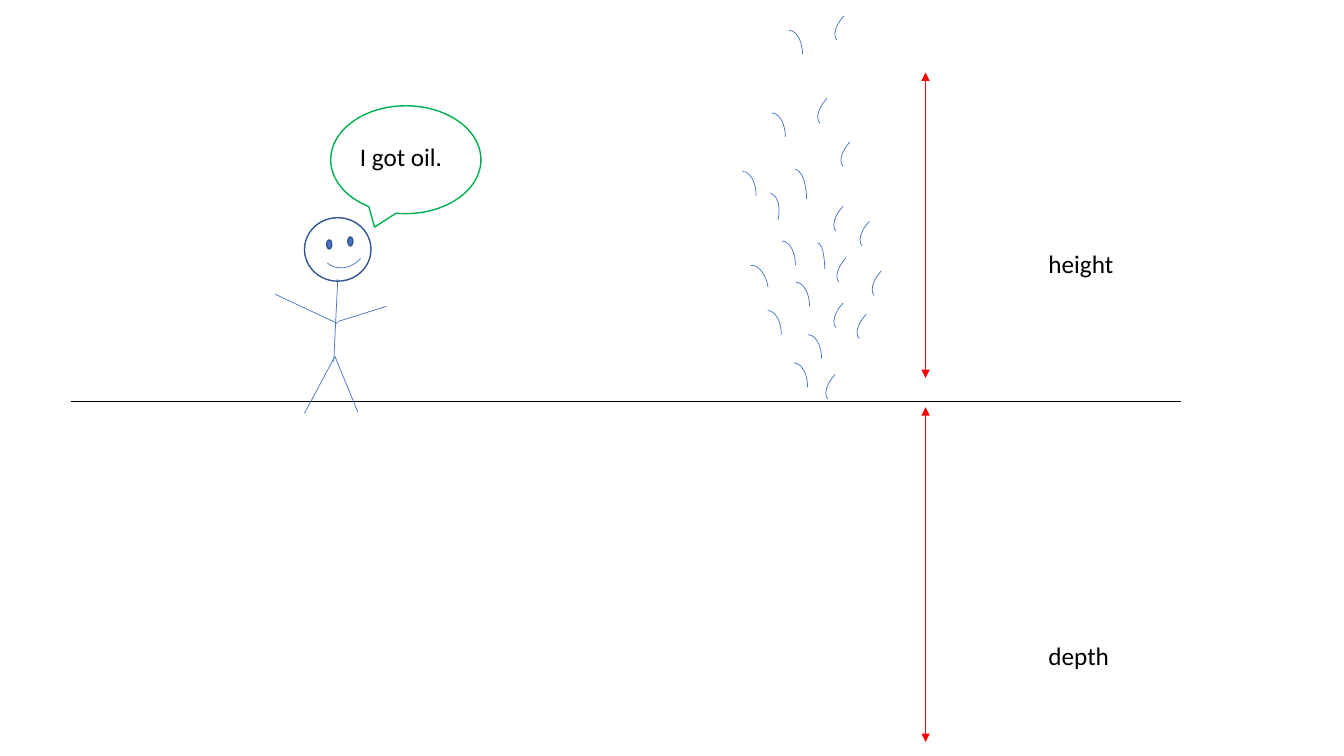
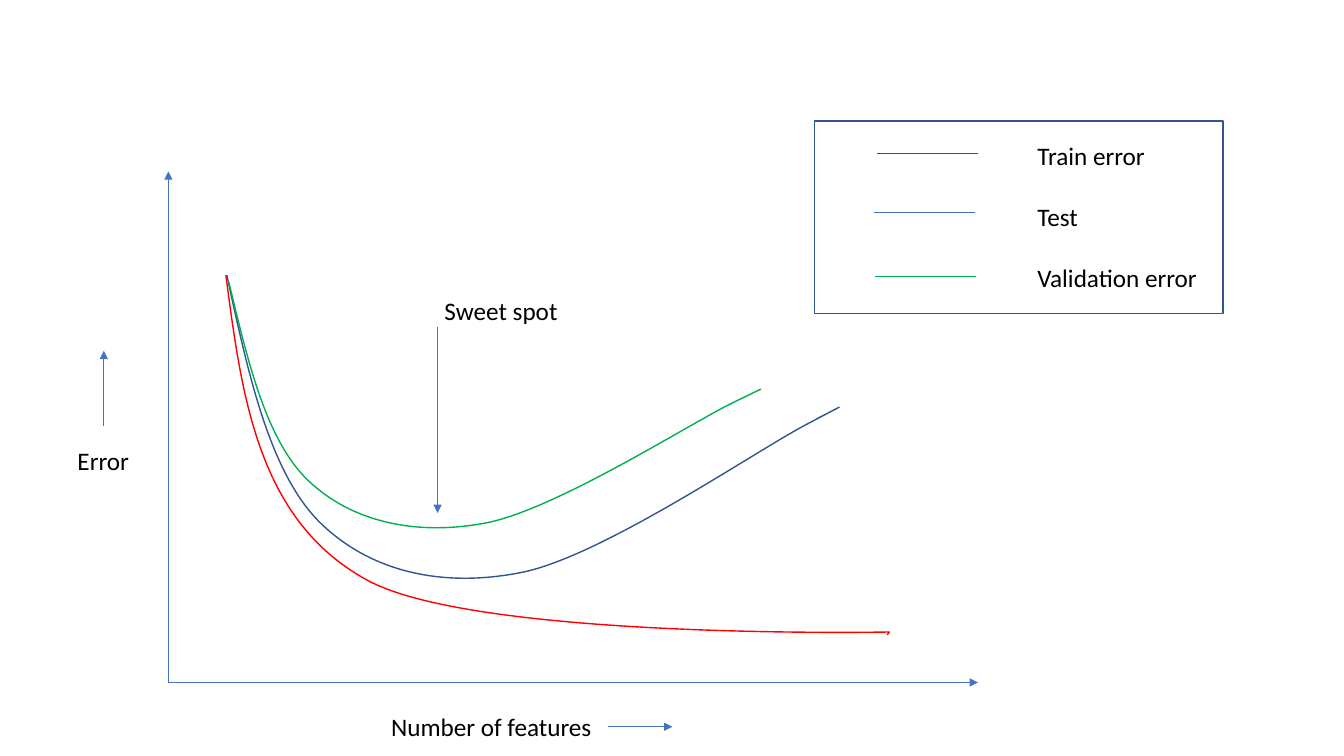
from lxml import etree
from pptx import Presentation
from pptx.dml.color import RGBColor
from pptx.enum.shapes import MSO_CONNECTOR, MSO_SHAPE
from pptx.enum.text import MSO_AUTO_SIZE
from pptx.oxml.ns import qn
from pptx.util import Inches, Pt

ARC = MSO_SHAPE.ARC
OVAL = MSO_SHAPE.OVAL
RECTANGLE = MSO_SHAPE.RECTANGLE
CALLOUT = MSO_SHAPE.OVAL_CALLOUT
STRAIGHT = MSO_CONNECTOR.STRAIGHT
FIT_SHAPE = MSO_AUTO_SIZE.SHAPE_TO_FIT_TEXT

BLACK = RGBColor(0x00, 0x00, 0x00)
WHITE = RGBColor(0xFF, 0xFF, 0xFF)
BLUE = RGBColor(0x44, 0x72, 0xC4)
NAVY = RGBColor(0x32, 0x54, 0x91)
RED = RGBColor(0xFF, 0x00, 0x00)
GREEN = RGBColor(0x00, 0xB0, 0x50)

THIN = Pt(0.5)
MEDIUM = Pt(1)
TEXT_FORMAT = {"name": "Calibri", "size": Pt(18)}
LABEL_HEIGHT = 0.4

LEFT_DROP = (0.27, 0.48)
RIGHT_DROP = (0.23, 0.45)
RIGHT_TURN = 223.2
LEFT_DROPS = [
    (7.69, 0.3), (7.52, 1.12), (7.23, 1.7), (7.62, 2.39),
    (7.76, 2.8), (7.48, 3.08), (7.88, 3.32), (7.74, 3.6),
]
ODD_DROPS = [
    (7.45, 1.91, 0.27, 0.48, 13.2), (7.77, 1.68, 0.23, 0.59, 0),
    (8.04, 2.41, 0.14, 0.52, 0), (7.35, 2.63, 0.27, 0.48, 350.4),
]
RIGHT_DROPS = [
    (8.34, 0.01), (8.17, 0.83), (8.4, 1.26), (8.33, 1.9), (8.59, 2.05),
    (8.36, 2.41), (8.71, 2.54), (8.33, 2.86), (8.56, 2.97), (8.25, 3.57),
]
LIMBS = [
    ((3.35, 2.77), (3.31, 3.59)),
    ((3.32, 3.54), (3.02, 4.1)),
    ((3.32, 3.53), (3.55, 4.09)),
    ((3.35, 3.21), (2.73, 2.92)),
    ((3.35, 3.19), (3.83, 3.04)),
]
TRAIN_CURVE = [
    (2.24, 2.73), (2.4, 3.95), (2.56, 5.17), (3.65, 5.76),
    (4.75, 6.35), (8.82, 6.27), (8.82, 6.27), (8.8, 6.3),
]
TEST_CURVE = [
    (2.25, 2.73), (2.46, 3.7), (2.67, 4.67), (3.16, 5.17),
    (3.65, 5.66), (4.36, 5.84), (5.17, 5.68),
    (5.98, 5.52), (7.53, 4.45), (8.02, 4.2),
    (8.51, 3.94), (8.31, 4.05), (8.11, 4.15),
]
VALIDATION_CURVE = [
    (2.27, 2.8), (2.46, 3.59), (2.64, 4.37), (3.06, 4.77),
    (3.48, 5.17), (4.11, 5.32), (4.81, 5.19),
    (5.51, 5.06), (6.86, 4.19), (7.28, 3.99),
    (7.71, 3.78), (7.53, 3.87), (7.36, 3.95),
]


class Sketch:
    """Hold the deck, its style and the slide being drawn."""

    def __init__(self):
        self.deck = Presentation()
        self.deck.slide_width = Inches(13.33)
        self.deck.slide_height = Inches(7.5)
        self.shapes = None

    def new_page(self):
        page = self.deck.slides.add_slide(self.deck.slide_layouts[6])
        self.shapes = page.shapes

    def outline(self, shape, color, width):
        shape.line.color.rgb = color
        shape.line.width = width

    def shape(self, kind, bounds, line, width=MEDIUM, fill=None, rotation=0):
        shape = self.shapes.add_shape(kind, *map(Inches, bounds))
        shape.shadow.inherit = False
        shape.rotation = rotation
        if fill is None:
            shape.fill.background()
        else:
            shape.fill.solid()
            shape.fill.fore_color.rgb = fill
        self.outline(shape, line, width)

    def arc(self, bounds, rotation=0):
        self.shape(ARC, bounds, BLUE, THIN, rotation=rotation)

    def line(self, start, end, color=BLUE, arrows=()):
        line = self.shapes.add_connector(STRAIGHT, *map(Inches, start + end))
        self.outline(line, color, THIN)
        properties = line.element.spPr
        stroke = properties.find(qn("a:ln"))
        for arrow in arrows:
            etree.SubElement(stroke, qn(f"a:{arrow}"), type="triangle")
        etree.SubElement(properties, qn("a:effectLst"))

    def curve(self, points, color):
        start, *rest = [tuple(map(Inches, point)) for point in points]
        builder = self.shapes.build_freeform(*start, scale=1.0)
        builder.add_line_segments(rest, close=False)
        curve = builder.convert_to_shape()
        curve.shadow.inherit = False
        curve.fill.background()
        self.outline(curve, color, MEDIUM)
        segments = list(curve.element.spPr.iter(qn("a:lnTo")))
        for first in range(0, len(segments) - 2, 3):
            bezier = etree.Element(qn("a:cubicBezTo"))
            segments[first].addprevious(bezier)
            for segment in segments[first:first + 3]:
                bezier.append(segment[0])
                segment.getparent().remove(segment)

    def text(self, bounds, *lines, gap=0):
        box = self.shapes.add_textbox(*map(Inches, bounds))
        frame = box.text_frame
        frame.word_wrap = True
        frame.auto_size = FIT_SHAPE
        for index, line in enumerate(lines):
            para = frame.add_paragraph() if index else frame.paragraphs[0]
            if index:
                para.space_before = Pt(gap)
            span = para.add_run()
            span.text = line
            for name, value in TEXT_FORMAT.items():
                setattr(span.font, name, value)
            span.font.color.rgb = BLACK


def draw_oil_well(sketch):
    sketch.new_page()
    for corner in LEFT_DROPS:
        sketch.arc(corner + LEFT_DROP)
    for *bounds, rotation in ODD_DROPS:
        sketch.arc(bounds, rotation)
    for corner in RIGHT_DROPS:
        sketch.arc(corner + RIGHT_DROP, RIGHT_TURN)

    sketch.line((0.7, 3.98), (11.71, 3.98), BLACK)
    for label, label_top, top, bottom in (
        ("height", 2.41, 0.72, 3.75),
        ("depth", 6.3, 4.04, 7.36),
    ):
        sketch.line((9.18, top), (9.18, bottom), RED, ("headEnd", "tailEnd"))
        sketch.text((10.3, label_top, 1.05, LABEL_HEIGHT), label)

    sketch.shape(OVAL, (3.02, 2.16, 0.66, 0.63), NAVY, fill=WHITE)
    for start, end in LIMBS:
        sketch.line(start, end)
    for left, top in ((3.24, 2.38), (3.45, 2.35)):
        sketch.shape(OVAL, (left, top, 0.05, 0.09), NAVY, fill=BLUE)
    sketch.arc((3.16, 2.2, 0.5, 0.44), 130.8)
    sketch.shape(CALLOUT, (3.28, 1.05, 1.49, 1.07), GREEN, fill=WHITE)
    sketch.text((3.47, 1.35, 1.05, LABEL_HEIGHT), "I got oil.")


def draw_error_curves(sketch):
    sketch.new_page()
    for start, end in (
        ((1.67, 6.77), (9.7, 6.77)),
        ((1.67, 6.77), (1.67, 1.7)),
        ((4.34, 3.24), (4.34, 5.09)),
        ((6.03, 7.21), (6.67, 7.21)),
        ((1.03, 4.23), (1.03, 3.48)),
    ):
        sketch.line(start, end, arrows=("tailEnd",))
    for label, left, top, width in (
        ("Sweet spot", 4.31, 2.88, 1.95),
        ("Number of features", 3.78, 7.01, 2.25),
        ("Error", 0.67, 4.37, 2.25),
    ):
        sketch.text((left, top, width, LABEL_HEIGHT), label)

    for points, color in (
        (TRAIN_CURVE, RED),
        (TEST_CURVE, NAVY),
        (VALIDATION_CURVE, GREEN),
    ):
        sketch.curve(points, color)

    sketch.shape(RECTANGLE, (8.08, 1.2, 4.05, 1.91), NAVY, fill=WHITE)
    for left, top, color in (
        (8.7, 1.52, RED), (8.67, 2.11, BLUE), (8.68, 2.74, GREEN),
    ):
        sketch.line((left, top), (left + 1, top), color)
    sketch.text((10.19, 1.34, 1.8, 1.62),
                "Train error", "Test", "Validation error", gap=22)


def main():
    sketch = Sketch()
    draw_oil_well(sketch)
    draw_error_curves(sketch)
    sketch.deck.save("out.pptx")


if __name__ == "__main__":
    main()
